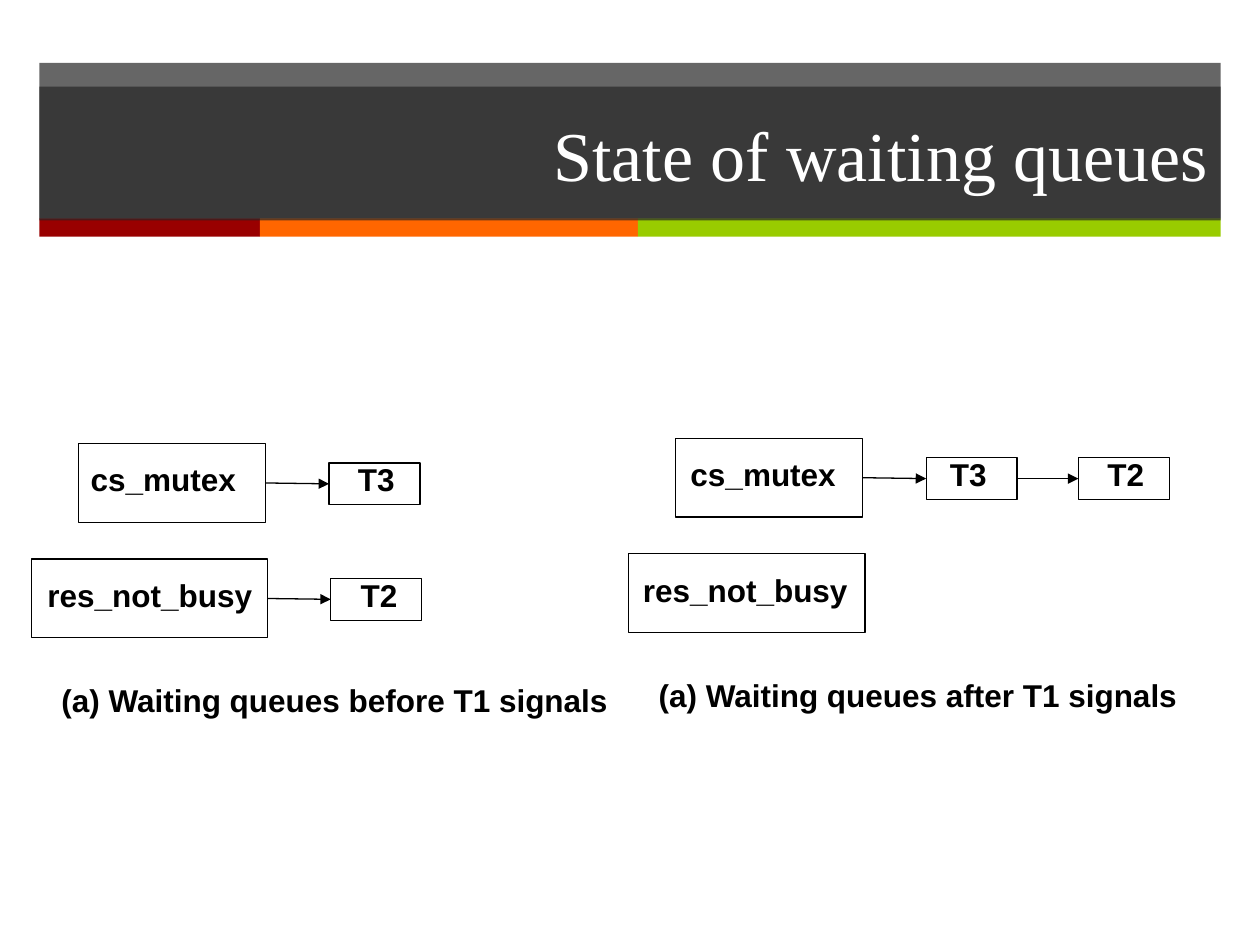
from dataclasses import dataclass

from lxml import etree
from pptx import Presentation
from pptx.dml.color import RGBColor
from pptx.enum.shapes import MSO_CONNECTOR, MSO_SHAPE
from pptx.enum.text import MSO_ANCHOR, PP_ALIGN
from pptx.oxml.ns import qn
from pptx.util import Pt

RECT = MSO_SHAPE.RECTANGLE
LINE = MSO_CONNECTOR.STRAIGHT
MIDDLE = MSO_ANCHOR.MIDDLE
RIGHT = PP_ALIGN.RIGHT

COLORS = {"band": "262626", "red": "990000", "orange": "FF6600",
          "green": "99CC00", "ink": "000000", "white": "FFFFFF"}
EDGE, WIDE = 22.5, 675
ROW_GAP = 66
RIGHT_SITE, LEFT_SITE = 3, 1


@dataclass
class Node:
    text: str
    x: float      # from the panel's left edge
    drop: float   # from the row's top
    w: float
    h: float
    pad: float    # label's shift from the box
    span: float   # label width


@dataclass
class Panel:
    x: float
    y: float
    rows: list[list[Node]]
    note: str
    span: float


def mutex(pad: float) -> Node:
    return Node("cs_mutex", 26.75, 0, 107, 45, pad, 102)


def busy(pad: float) -> Node:
    return Node("res_not_busy", 0, 0, 135, 45, pad, 142)


def task(text: str, x: float, pad: float) -> Node:
    return Node(text, x, 11, 52, 24, pad, 45)


PANELS = [
    Panel(18, 253.5, [[mutex(0), task("T3", 170, 9.5)],
                      [busy(2), task("T2", 171, 10)]],
          "(a) Waiting queues before T1 signals", 330),
    Panel(359.25, 250.5, [[mutex(1.5), task("T3", 170, 6.5),
                           task("T2", 257, 9.5)],
                          [busy(1)]],
          "(a) Waiting queues after T1 signals", 314),
]


def rgb(name: str) -> RGBColor:
    return RGBColor.from_string(COLORS[name])


def paint(shape, name: str, alpha: int = 100) -> None:
    shape.fill.solid()
    shape.fill.fore_color.rgb = rgb(name)
    if alpha < 100:
        tone = shape.fill._xPr.find(".//" + qn("a:srgbClr"))
        etree.SubElement(tone, qn("a:alpha"), val=str(alpha * 1000))


def add_rect(x: float, y: float, w: float, h: float):
    shape = slide.shapes.add_shape(RECT, Pt(x), Pt(y), Pt(w), Pt(h))
    shape.shadow.inherit = False
    return shape


def add_bar(x: float, y: float, w: float, h: float, name: str,
            alpha: int = 100) -> None:
    bar = add_rect(x, y, w, h)
    paint(bar, name, alpha)
    bar.line.fill.background()


def add_label(text: str, x: float, y: float, w: float) -> None:
    box = slide.shapes.add_textbox(Pt(x), Pt(y), Pt(w), Pt(29))
    frame = box.text_frame
    frame.word_wrap = True
    frame.text = text
    font = frame.paragraphs[0].runs[0].font
    font.name, font.size, font.bold = "Arial", Pt(18), True
    font.color.rgb = rgb("ink")


def add_node(node: Node, x: float, y: float):
    box = add_rect(x + node.x, y + node.drop, node.w, node.h)
    box.fill.background()
    box.line.color.rgb = rgb("ink")
    box.line.width = Pt(0.75)
    add_label(node.text, x + node.x + node.pad, y + 6, node.span)
    return box


def add_arrow(start, end) -> None:
    arrow = slide.shapes.add_connector(LINE, 0, 0, 0, 0)
    arrow.begin_connect(start, RIGHT_SITE)
    arrow.end_connect(end, LEFT_SITE)
    arrow.line.color.rgb = rgb("ink")
    arrow.line.width = Pt(0.75)
    etree.SubElement(arrow.line._get_or_add_ln(), qn("a:tailEnd"),
                     type="triangle")
    etree.SubElement(arrow._element.spPr, qn("a:effectLst"))


def add_panel(panel: Panel) -> None:
    for i, row in enumerate(panel.rows):
        boxes = [add_node(n, panel.x, panel.y + i * ROW_GAP) for n in row]
        for start, end in zip(boxes, boxes[1:]):
            add_arrow(start, end)
    add_label(panel.note, panel.x + 10, panel.y + 2 * ROW_GAP, panel.span)


deck = Presentation()
deck.slide_width, deck.slide_height = Pt(720), Pt(540)
slide = deck.slides.add_slide(deck.slide_layouts[5])

# Header band and colour strip
add_bar(EDGE, 36, WIDE, 89, "band", 70)
left = EDGE
for name, width in (("red", 126), ("orange", 216), ("green", 333)):
    add_bar(left, 124.75, width, 10.5, name)
    left += width

# Title, in front of the band
title = slide.shapes.title
title.left, title.top = Pt(EDGE), Pt(49.5)
title.width, title.height = Pt(WIDE), Pt(76.5)
paint(title, "band", 70)
frame = title.text_frame
frame.text = "State of waiting queues"
frame.vertical_anchor = MIDDLE
para = frame.paragraphs[0]
para.alignment = RIGHT
font = para.runs[0].font
font.name, font.size = "Times New Roman", Pt(40)
font.color.rgb = rgb("white")
slide.shapes._spTree.append(title._element)

# Waiting queues
for panel in PANELS:
    add_panel(panel)

deck.save("out.pptx")
